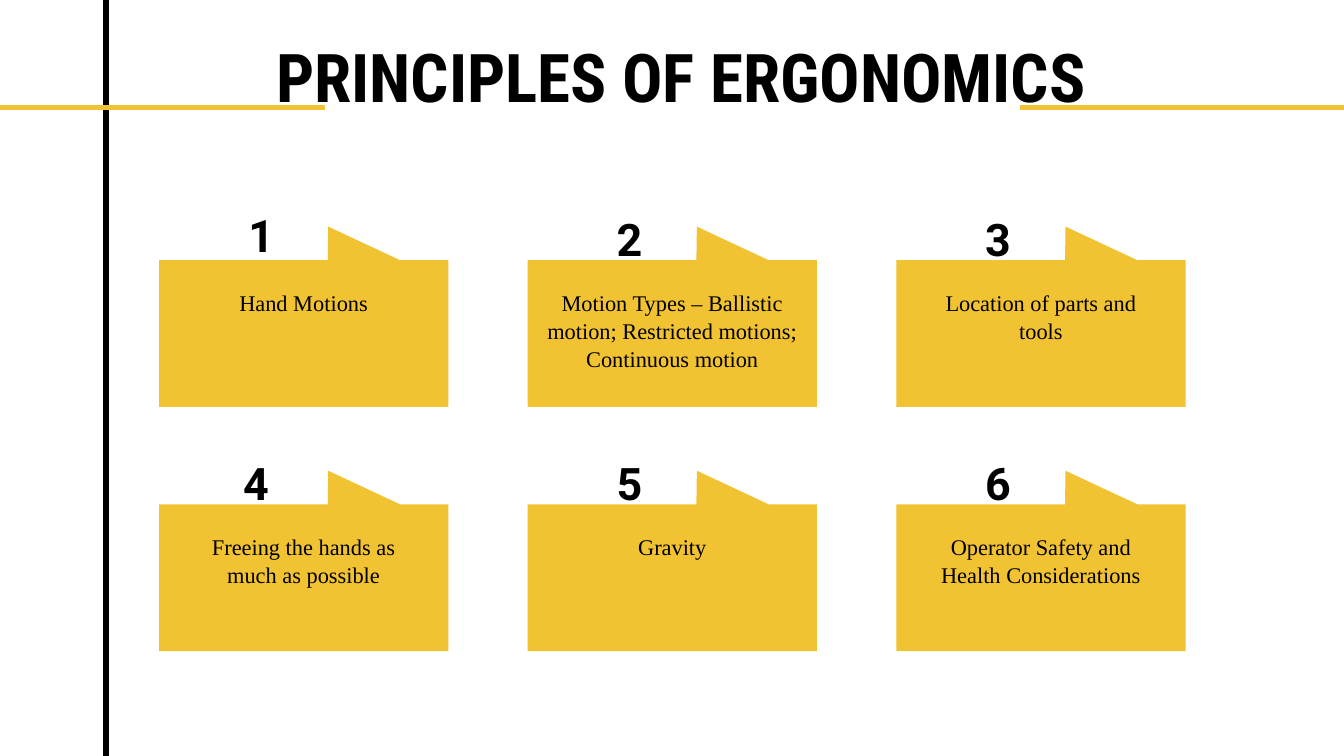
import dataclasses

import pptx
import pptx.dml.color
import pptx.enum.shapes
import pptx.enum.text
import pptx.oxml
import pptx.util

Pt = pptx.util.Pt
RGB = pptx.dml.color.RGBColor
SHAPE = pptx.enum.shapes.MSO_SHAPE
ALIGN = pptx.enum.text.PP_ALIGN


@dataclasses.dataclass(frozen=True)
class Theme:
    ink: RGB = RGB(0x00, 0x00, 0x00)
    paper: RGB = RGB(0xFF, 0xFF, 0xFF)
    accent: RGB = RGB(0xF1, 0xC2, 0x32)
    title_font: str = "Roboto Condensed"
    number_font: str = "Roboto"
    body_font: str = "Times New Roman"
    title_size: int = 36
    number_size: int = 24
    body_size: int = 12
    rule_width: int = 3
    inset: float = 7.2
    line_spacing: float = 1.05


class SlideBuilder:
    """Draws styled elements on the current slide; lengths are in points."""

    def __init__(self, s, theme):
        self.s = s
        self.theme = theme

    def rule(self, x1, y1, x2, y2, color):
        line = self.s.shapes.add_connector(
            pptx.enum.shapes.MSO_CONNECTOR.STRAIGHT, Pt(x1), Pt(y1), Pt(x2), Pt(y2))
        line.line.color.rgb = color
        line.line.width = Pt(self.theme.rule_width)
        line._element.spPr.append(pptx.oxml.parse_xml(
            '<a:effectLst xmlns:a="http://schemas.openxmlformats.org/drawingml/2006/main"/>'))

    def shape(self, kind, x, y, w, h, color, adjustments=()):
        sp = self.s.shapes.add_shape(kind, Pt(x), Pt(y), Pt(w), Pt(h))
        sp.shadow.inherit = False
        sp.fill.solid()
        sp.fill.fore_color.rgb = color
        sp.line.fill.background()
        for i, value in enumerate(adjustments):
            sp.adjustments[i] = value

    def text(self, words, x, y, w, h, font, size, bold=False, align=ALIGN.CENTER):
        tf = self.s.shapes.add_textbox(Pt(x), Pt(y), Pt(w), Pt(h)).text_frame
        tf.word_wrap = True
        tf.vertical_anchor = pptx.enum.text.MSO_ANCHOR.TOP
        tf.margin_left = tf.margin_right = Pt(self.theme.inset)
        tf.margin_top = tf.margin_bottom = Pt(self.theme.inset)
        p = tf.paragraphs[0]
        p.alignment = align
        p.line_spacing = self.theme.line_spacing
        r = p.add_run()
        r.text = words
        r.font.name = font
        r.font.size = Pt(size)
        r.font.bold = bold
        r.font.color.rgb = self.theme.ink


# Card grid
COLUMNS = 3
CARD_LEFT, CARD_TOP = 85.2, 139.4
CARD_W, CARD_H = 155, 78.6
STEP_X, STEP_Y = 197.5, 130.8
BODY_H, BODY_DROP = 60.5, 7.6
NUMBER_W, NUMBER_H, NUMBER_RISE = 54, 37.4, 34.5
POINTER = (0.085, -0.729)

# Wording, body width, number offset from the card's left edge, number lift
PRINCIPLES = [
    ("Hand Motions", 141, 40.8, 2.4),
    ("Motion Types – Ballistic motion; Restricted motions; Continuous motion",
     155, 40.6, 0),
    ("Location of parts and tools", 141, 40.4, 0),
    ("Freeing the hands as much as possible", 141, 37.9, 0),
    ("Gravity", 141, 40.6, 0),
    ("Operator Safety and Health Considerations", 141, 40.4, 0),
]


def main():
    prs = pptx.Presentation()
    prs.slide_width, prs.slide_height = Pt(720), Pt(405)
    theme = Theme()
    page = SlideBuilder(prs.slides.add_slide(prs.slide_layouts[6]), theme)

    # Crossing rules, with a gap behind the title
    page.rule(56.9, 0, 56.9, 405, theme.ink)
    page.rule(0, 57.6, 720, 57.6, theme.accent)
    page.shape(SHAPE.RECTANGLE, 174, 6.5, 372.4, 81.4, theme.paper)

    # Title
    page.text("PRINCIPLES OF ERGONOMICS", 102.2, 9.4, 525.6, 55.4,
              theme.title_font, theme.title_size, bold=True)

    # Numbered callout cards
    for i, (words, body_w, number_dx, lift) in enumerate(PRINCIPLES):
        row, column = divmod(i, COLUMNS)
        x = CARD_LEFT + column * STEP_X
        y = CARD_TOP + row * STEP_Y
        page.shape(SHAPE.RECTANGULAR_CALLOUT, x, y, CARD_W, CARD_H,
                   theme.accent, POINTER)
        page.text(str(i + 1), x + number_dx, y - NUMBER_RISE - lift,
                  NUMBER_W, NUMBER_H, theme.number_font, theme.number_size,
                  bold=True, align=ALIGN.LEFT)
        page.text(words, x + (CARD_W - body_w) / 2, y + BODY_DROP, body_w, BODY_H,
                  theme.body_font, theme.body_size)

    prs.save("out.pptx")


if __name__ == "__main__":
    main()
